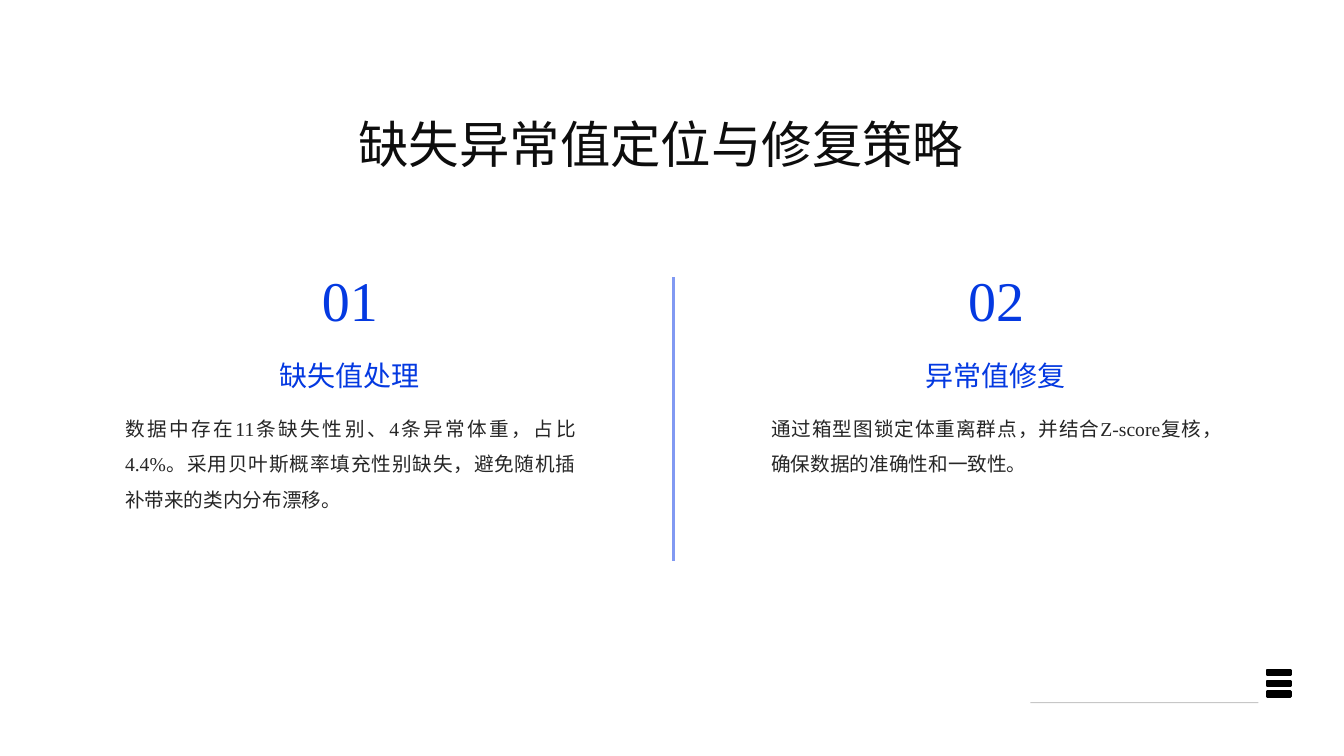
from dataclasses import dataclass

from lxml import etree
from pptx import Presentation
from pptx.dml.color import RGBColor
from pptx.enum import shapes, text
from pptx.oxml import ns
from pptx.util import Inches, Pt


@dataclass(frozen=True)
class Theme:
    font: str = "Times New Roman"
    title_color: str = "0D0D0D"
    accent: str = "0439E1"
    body_color: str = "262626"
    divider: str = "8199F2"
    black: str = "000000"
    title_size: int = 36
    number_size: int = 40
    heading_size: int = 20
    body_size: int = 14


THEME = Theme()
CENTER = text.PP_ALIGN.CENTER
JUSTIFY = text.PP_ALIGN.JUSTIFY
TOP = text.MSO_ANCHOR.TOP
MIDDLE = text.MSO_ANCHOR.MIDDLE

COLUMNS = [
    (0.73, "01", "缺失值处理",
     "数据中存在11条缺失性别、4条异常体重，占比4.4%。"
     "采用贝叶斯概率填充性别缺失，避免随机插补带来的类内分布漂移。"),
    (7.14, "02", "异常值修复",
     "通过箱型图锁定体重离群点，并结合Z-score复核，确保数据的准确性和一致性。"),
]


def set_all(target, values):
    for name, value in values.items():
        setattr(target, name, value)


def add_text(slide, box, wording, size, color, align=CENTER, spacing=1.0, anchor=TOP):
    label = slide.shapes.add_textbox(*map(Inches, box))
    frame = label.text_frame
    set_all(frame, {
        "word_wrap": True, "vertical_anchor": anchor,
        "margin_left": 0, "margin_top": 0, "margin_right": 0, "margin_bottom": 0,
    })
    paragraph = frame.paragraphs[0]
    set_all(paragraph, {"alignment": align, "line_spacing": spacing})
    run = paragraph.add_run()
    run.text = wording
    set_all(run.font, {"name": THEME.font, "size": Pt(size)})
    run.font.color.rgb = RGBColor.from_string(color)


def add_rule(slide, start, end, color, width, opacity=100):
    """Draw a straight line; opacity is a percentage."""
    rule = slide.shapes.add_connector(
        shapes.MSO_CONNECTOR.STRAIGHT, *map(Inches, start + end))
    rule.line.width = Pt(width)
    rule.line.color.rgb = RGBColor.from_string(color)
    properties = rule._element.spPr
    if opacity < 100:
        fill = properties.find(".//" + ns.qn("a:srgbClr"))
        etree.SubElement(fill, ns.qn("a:alpha"), val=str(opacity * 1000))
    etree.SubElement(properties, ns.qn("a:effectLst"))


def add_menu_icon(slide, left, top, pitch=0.105, bars=3):
    black = RGBColor.from_string(THEME.black)
    for index in range(bars):
        bar = slide.shapes.add_shape(
            shapes.MSO_SHAPE.RECTANGLE, Inches(left), Inches(top + index * pitch),
            Inches(0.23), Inches(0.05))
        bar.shadow.inherit = False
        bar.fill.solid()
        bar.fill.fore_color.rgb = black
        bar.line.color.rgb = black
        bar.line.width = Pt(1.5)


def add_column(slide, left, number, heading, body):
    add_text(slide, (left + 2.26, 2.59, 0.96, 0.76), number,
             THEME.number_size, THEME.accent, anchor=MIDDLE)
    add_text(slide, (left, 3.56, 5.47, 0.42), heading,
             THEME.heading_size, THEME.accent)
    add_text(slide, (left + 0.51, 4.02, 4.47, 2.32), body,
             THEME.body_size, THEME.body_color, JUSTIFY, 1.5)


def main():
    deck = Presentation()
    set_all(deck, {"slide_width": Inches(13.33), "slide_height": Inches(7.5)})
    slide = deck.slides.add_slide(deck.slide_layouts[6])

    add_text(slide, (0.73, 0.82, 11.65, 0.81), "缺失异常值定位与修复策略",
             THEME.title_size, THEME.title_color, spacing=1.5)
    add_rule(slide, (6.68, 2.75), (6.68, 5.57), THEME.divider, 1.5)
    add_rule(slide, (10.22, 6.97), (12.48, 6.97), THEME.black, 0.75, opacity=22)
    add_menu_icon(slide, 12.57, 6.65)
    for column in COLUMNS:
        add_column(slide, *column)

    deck.save("out.pptx")


if __name__ == "__main__":
    main()
